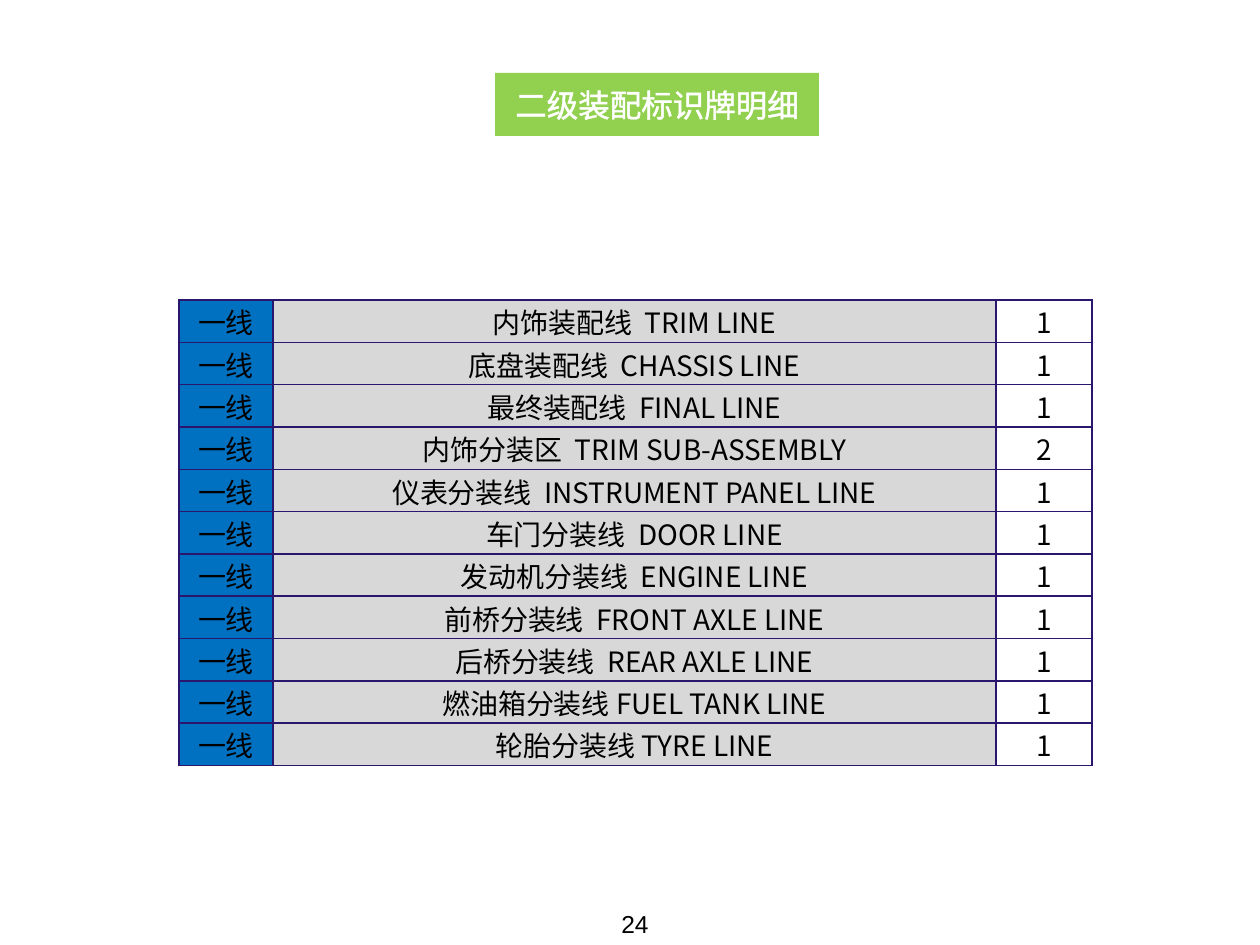
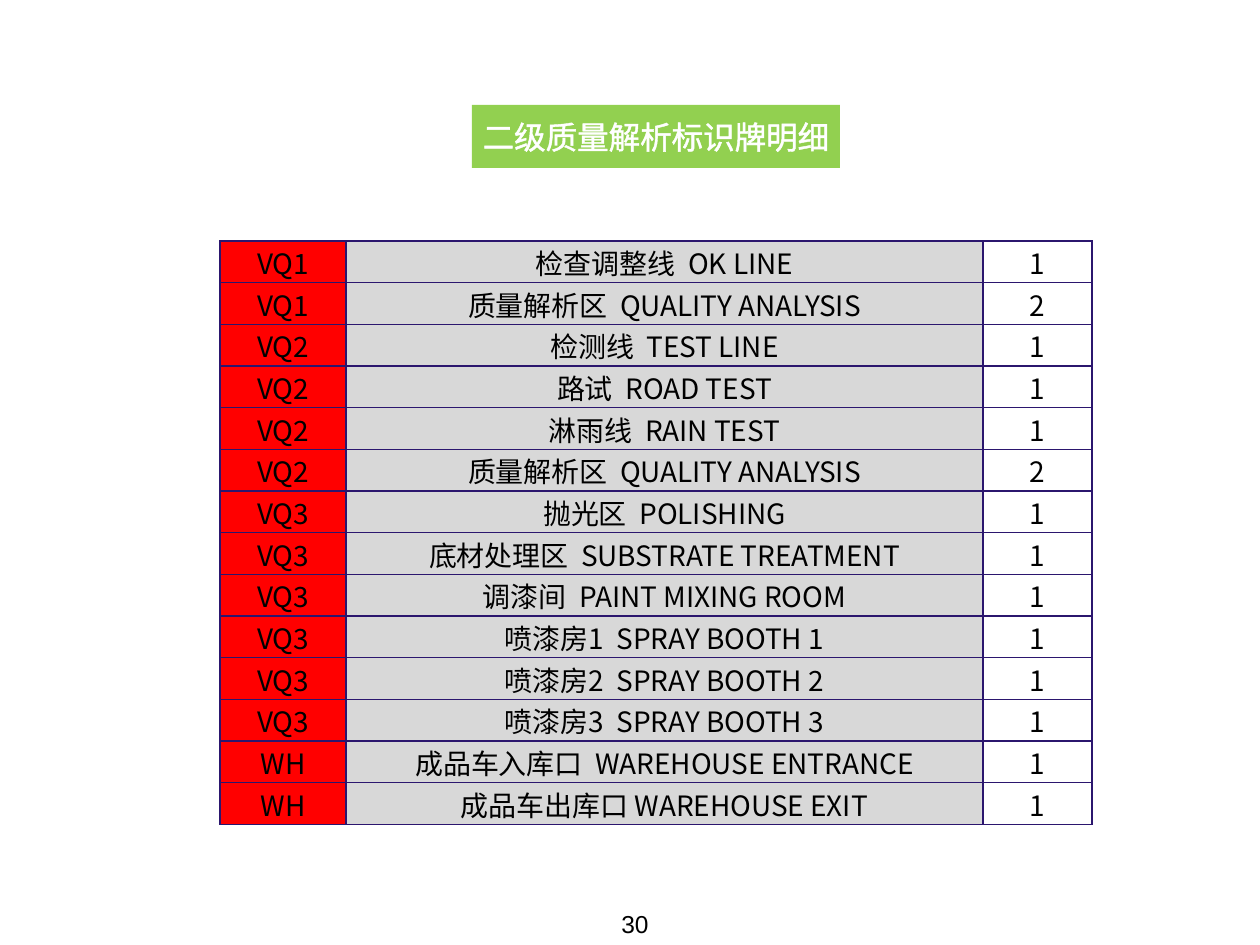
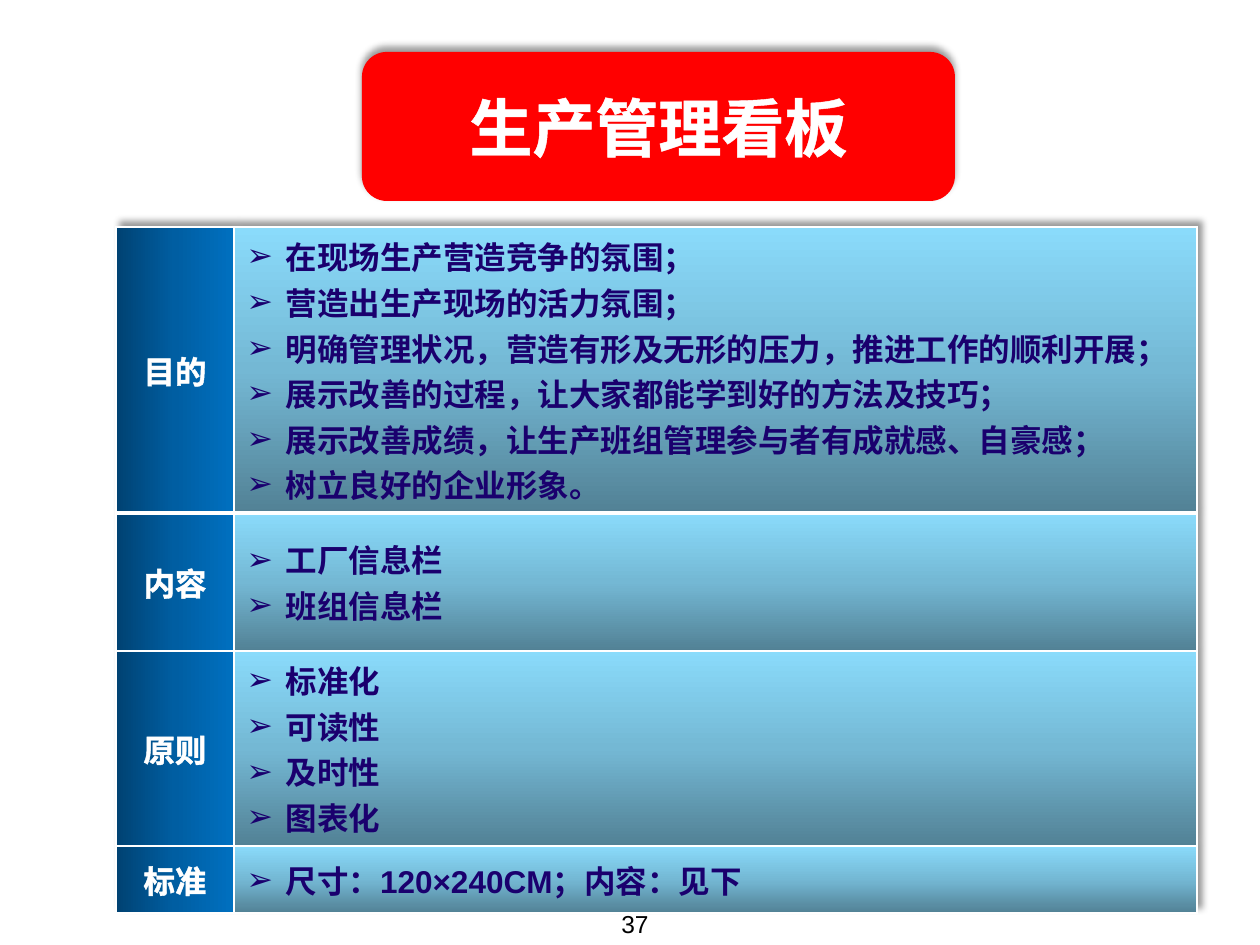
import lxml.etree
import pptx
import pptx.dml.color
import pptx.enum.shapes
import pptx.enum.text
import pptx.oxml
import pptx.oxml.ns
import pptx.util

PX = 914400 / 126
COLORS = {
    "black": "000000", "white": "FFFFFF", "near_white": "FEFEFE",
    "green": "92D050", "red": "FF0000", "blue": "0070C0", "grey": "D8D8D8",
    "grid": "2B166E", "navy_edge": "17074A",
}
LABEL_GRADIENT = (0, [(0, "004272"), (50, "005EA2"), (100, "0070C0")])
POINTS_GRADIENT = (270, [(0, "528195"), (50, "74B8D4"), (100, "8ADBFB")])
NAVY_GRADIENT = (90, [(0, "0D0037"), (43, "1A006E"), (48, "180066"), (100, "0D0037")])
CJK_FONT = "Noto Sans CJK SC"
CENTER = pptx.enum.text.PP_ALIGN.CENTER
RIGHT = pptx.enum.text.PP_ALIGN.RIGHT
MIDDLE = pptx.enum.text.MSO_ANCHOR.MIDDLE
SHAPES = pptx.enum.shapes.MSO_SHAPE

PAGE_NUMBER_BOX = (367, 903, 294, 66)

SIGN_LISTS = [
    {
        "page": "24",
        "title": "二级装配标识牌明细",
        "title_box": (495, 73, 324, 63),
        "table_box": (179, 300, 913, 466),
        "columns": (94, 723, 96),
        "area_color": "blue",
        "signs": [
            ("一线", "内饰装配线  TRIM LINE", "1"),
            ("一线", "底盘装配线  CHASSIS LINE", "1"),
            ("一线", "最终装配线  FINAL LINE", "1"),
            ("一线", "内饰分装区  TRIM SUB-ASSEMBLY", "2"),
            ("一线", "仪表分装线  INSTRUMENT PANEL LINE", "1"),
            ("一线", "车门分装线  DOOR LINE", "1"),
            ("一线", "发动机分装线  ENGINE LINE", "1"),
            ("一线", "前桥分装线  FRONT AXLE LINE", "1"),
            ("一线", "后桥分装线  REAR AXLE LINE", "1"),
            ("一线", "燃油箱分装线 FUEL TANK LINE", "1"),
            ("一线", "轮胎分装线 TYRE LINE", "1"),
        ],
    },
    {
        "page": "30",
        "title": "二级质量解析标识牌明细",
        "title_box": (472, 105, 368, 63),
        "table_box": (220, 241, 872, 584),
        "columns": (126, 637, 109),
        "area_color": "red",
        "signs": [
            ("VQ1", "检查调整线  OK LINE", "1"),
            ("VQ1", "质量解析区  QUALITY ANALYSIS", "2"),
            ("VQ2", "检测线  TEST LINE", "1"),
            ("VQ2", "路试  ROAD TEST", "1"),
            ("VQ2", "淋雨线  RAIN TEST", "1"),
            ("VQ2", "质量解析区  QUALITY ANALYSIS", "2"),
            ("VQ3", "抛光区  POLISHING", "1"),
            ("VQ3", "底材处理区  SUBSTRATE TREATMENT", "1"),
            ("VQ3", "调漆间  PAINT MIXING ROOM", "1"),
            ("VQ3", "喷漆房1  SPRAY BOOTH 1", "1"),
            ("VQ3", "喷漆房2  SPRAY BOOTH 2", "1"),
            ("VQ3", "喷漆房3  SPRAY BOOTH 3", "1"),
            ("WH", "成品车入库口  WAREHOUSE ENTRANCE", "1"),
            ("WH", "成品车出库口 WAREHOUSE EXIT", "1"),
        ],
    },
]

BOARD = {
    "page": "37",
    "title": "生产管理看板",
    "title_box": (362, 52, 593, 149),
    "table_box": (116, 227, 1081, 686),
    "columns": (118, 963),
    # label, row height, width of the line below, points
    "topics": [
        ("目的", 286, 3, [
            "在现场生产营造竞争的氛围；",
            "营造出生产现场的活力氛围；",
            "明确管理状况，营造有形及无形的压力，推进工作的顺利开展；",
            "展示改善的过程，让大家都能学到好的方法及技巧；",
            "展示改善成绩，让生产班组管理参与者有成就感、自豪感；",
            "树立良好的企业形象。",
        ]),
        ("内容", 138, 1, ["工厂信息栏", "班组信息栏"]),
        ("原则", 195, 1, ["标准化", "可读性", "及时性", "图表化"]),
        ("标准", 67, 1, ["尺寸：120×240CM；内容：见下"]),
    ],
}


def emu(*lengths):
    return [pptx.util.Emu(round(length * PX)) for length in lengths]


def rgb(name):
    return pptx.dml.color.RGBColor.from_string(COLORS[name])


def element(tag, **attributes):
    made = pptx.oxml.parse_xml(f"<a:{tag} {pptx.oxml.ns.nsdecls('a')}/>")
    for key, value in attributes.items():
        made.set(key, str(value))
    return made


def add(parent, tag, **attributes):
    child = element(tag, **attributes)
    parent.append(child)
    return child


def gradient(angle, stops):
    fill = element("gradFill", rotWithShape=1)
    stop_list = add(fill, "gsLst")
    for position, color in stops:
        add(add(stop_list, "gs", pos=position * 1000), "srgbClr", val=color)
    add(fill, "lin", ang=angle * 60000, scaled=0)
    return fill


def line(tag, color, width):
    made = element(tag, w=round(width * 12700))
    add(add(made, "solidFill"), "srgbClr", val=COLORS[color])
    return made


def add_shadow(effects, angle, distance):
    shadow = add(effects, "outerShdw", blurRad=4 * 12700, dist=distance * 12700,
                 dir=angle * 60000, algn="b", rotWithShape=0)
    add(add(shadow, "srgbClr", val=COLORS["black"]), "alpha", val=40000)


def style_text(paragraph, size, color="black", font="Arial", bold=False,
               align=None, outline=None, fill=None):
    paragraph.alignment = align
    for run in paragraph.runs:
        run.font.size = pptx.util.Pt(size)
        run.font.bold = bold
        run.font.name = font
        properties = run.font._element
        if fill:
            properties.insert(0, gradient(*fill))
        else:
            run.font.color.rgb = rgb(color)
        if outline:
            properties.insert(0, line("ln", *outline))
        properties.find(pptx.oxml.ns.qn("a:latin")).addnext(
            element("ea", typeface=CJK_FONT))


def add_bullet(paragraph):
    indent = round(0.31 * 914400)
    properties = paragraph._p.get_or_add_pPr()
    properties.set("marL", str(indent))
    properties.set("indent", str(-indent))
    add(properties, "buFont", typeface="Arial")
    add(properties, "buChar", char="➢")


def set_borders(cell, color, top=1, bottom=1):
    properties = cell._tc.get_or_add_tcPr()
    widths = {"lnL": 1, "lnR": 1, "lnT": top, "lnB": bottom}
    for index, (side, width) in enumerate(widths.items()):
        properties.insert(index, line(side, color, width))


def add_page(deck, number):
    slide = deck.slides.add_slide(deck.slide_layouts[6])
    frame = slide.shapes.add_textbox(*emu(*PAGE_NUMBER_BOX)).text_frame
    frame.word_wrap = True
    frame.text = number
    style_text(frame.paragraphs[0], 14, align=RIGHT)
    return slide


def add_title(slide, text, box, kind, color, **style):
    banner = slide.shapes.add_shape(kind, *emu(*box))
    banner.shadow.inherit = False
    banner.fill.solid()
    banner.fill.fore_color.rgb = rgb(color)
    banner.line.fill.background()
    frame = banner.text_frame
    frame.word_wrap = False
    frame.vertical_anchor = MIDDLE
    frame.text = text
    style_text(frame.paragraphs[0], color="white", align=CENTER, **style)
    return banner


def add_grid(slide, box, columns, heights):
    """Add a plain table with the given column widths and row heights."""
    table = slide.shapes.add_table(len(heights), len(columns), *emu(*box)).table
    table.first_row = table.horz_banding = False
    for column, width in zip(table.columns, emu(*columns)):
        column.width = width
    for row, height in zip(table.rows, emu(*heights)):
        row.height = height
    for cell in table.iter_cells():
        cell.vertical_anchor = MIDDLE
    return table


def add_sign_list(deck, sign_list):
    slide = add_page(deck, sign_list["page"])
    signs = sign_list["signs"]
    box = sign_list["table_box"]
    heights = [box[3] / len(signs)] * len(signs)
    table = add_grid(slide, box, sign_list["columns"], heights)
    fills = (sign_list["area_color"], "grey", None)
    for row, sign in zip(table.rows, signs):
        for cell, text, fill in zip(row.cells, sign, fills):
            cell.margin_left = cell.margin_right = cell.margin_top = emu(1)[0]
            cell.margin_bottom = 0
            cell.text_frame.text = text
            style_text(cell.text_frame.paragraphs[0], 16, font=CJK_FONT, align=CENTER)
            if fill:
                cell.fill.solid()
                cell.fill.fore_color.rgb = rgb(fill)
            else:
                cell.fill.background()
            set_borders(cell, "grid")
    add_title(slide, sign_list["title"], sign_list["title_box"], SHAPES.RECTANGLE,
              "green", size=18, outline=("white", 1.45))


def add_board(deck):
    slide = add_page(deck, BOARD["page"])
    white_edge = ("near_white", 1.5)
    banner = add_title(slide, BOARD["title"], BOARD["title_box"],
                       SHAPES.ROUNDED_RECTANGLE, "red", size=36, bold=True,
                       outline=white_edge)
    add_shadow(banner._element.spPr.find(pptx.oxml.ns.qn("a:effectLst")), 270, 3)

    topics = BOARD["topics"]
    table = add_grid(slide, BOARD["table_box"], BOARD["columns"],
                     [height for _, height, _, _ in topics])
    table_effects = element("effectLst")
    add_shadow(table_effects, 315, 4)
    table._tbl.tblPr.insert(0, table_effects)

    line_above = 1
    for row, (label, _, line_below, points) in zip(table.rows, topics):
        label_cell, points_cell = row.cells
        label_cell.text_frame.text = label
        style_text(label_cell.text_frame.paragraphs[0], 18, "white", bold=True,
                   align=CENTER, outline=white_edge)
        points_cell.text_frame.text = "\n".join(points)
        for paragraph in points_cell.text_frame.paragraphs:
            style_text(paragraph, 18, bold=True, fill=NAVY_GRADIENT,
                       outline=("navy_edge", 0.71))
            add_bullet(paragraph)
        for cell, fill in zip(row.cells, (LABEL_GRADIENT, POINTS_GRADIENT)):
            cell._tc.get_or_add_tcPr().append(gradient(*fill))
            set_borders(cell, "white", line_above, line_below)
        line_above = line_below


def main():
    deck = pptx.Presentation()
    deck.slide_width, deck.slide_height = emu(1260, 945)
    for sign_list in SIGN_LISTS:
        add_sign_list(deck, sign_list)
    add_board(deck)
    deck.save("out.pptx")


if __name__ == "__main__":
    main()
